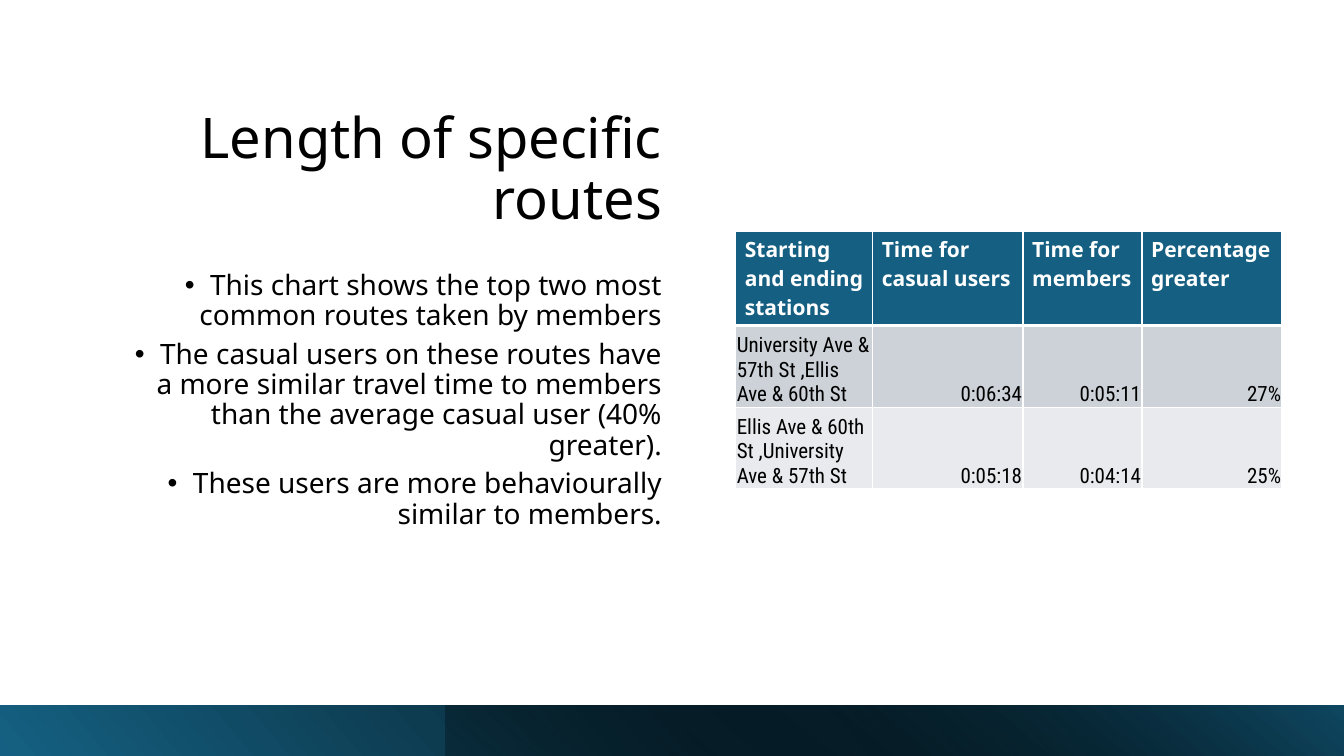
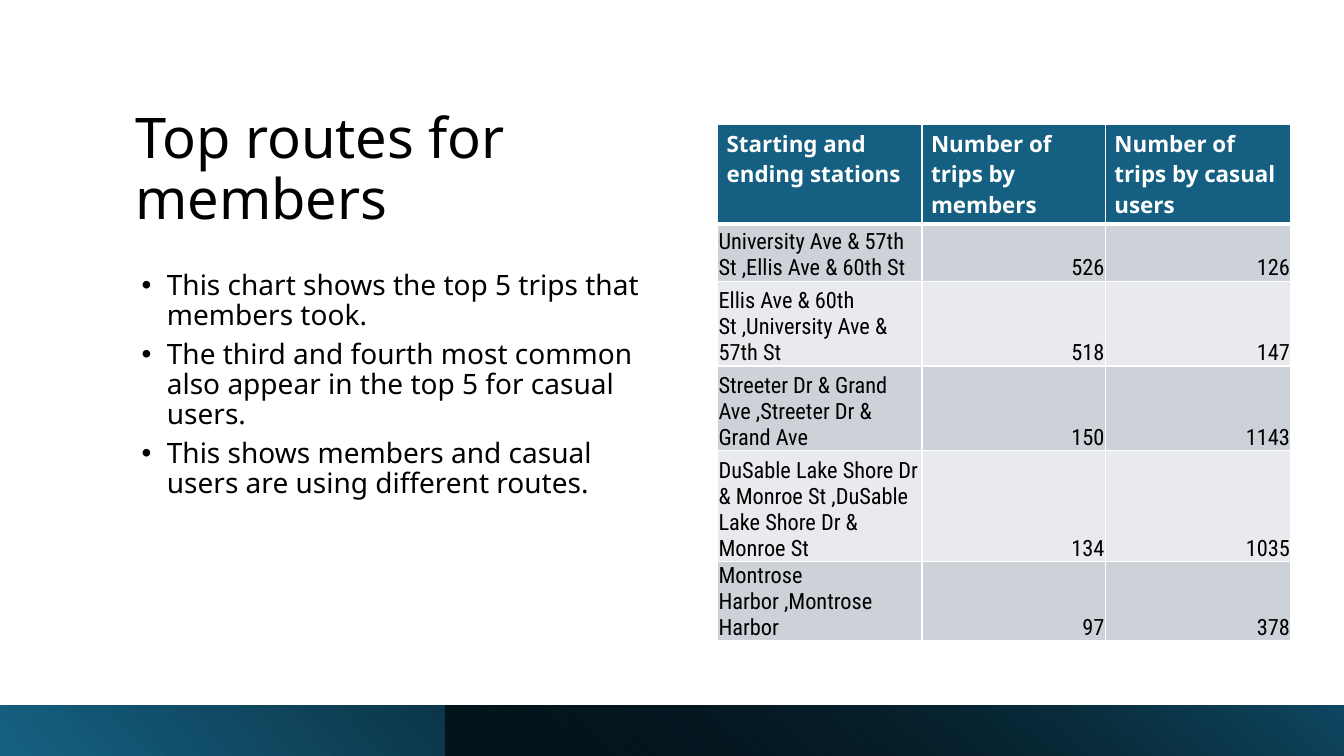
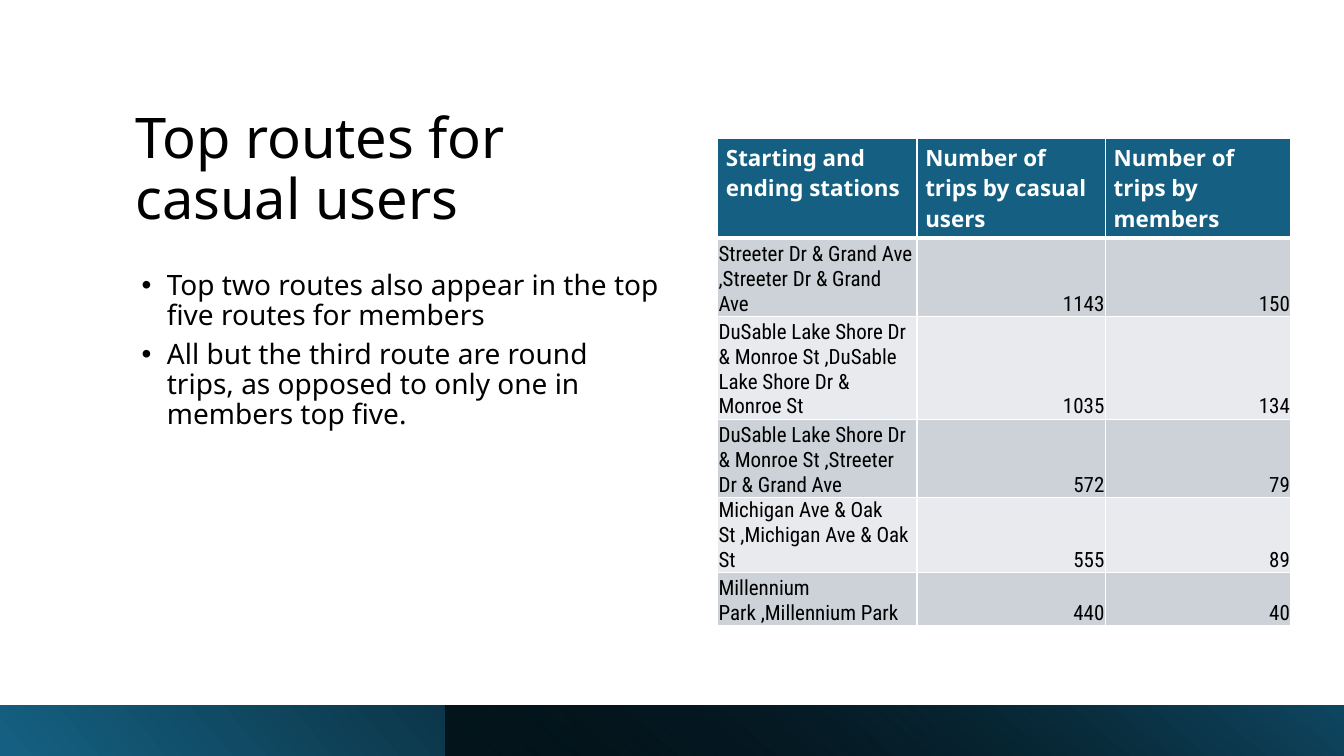
import pptx
import pptx.dml.color
import pptx.enum.text
import pptx.oxml
import pptx.oxml.ns
import pptx.util
from lxml import etree

Pt = pptx.util.Pt
ALIGN = pptx.enum.text.PP_ALIGN
ANCHOR = pptx.enum.text.MSO_ANCHOR
qn = pptx.oxml.ns.qn


def rgb(value):
    return pptx.dml.color.RGBColor.from_string(value)


def gradient(stops, angle):
    """Build a linear gradient from (position, colour, opacity) percentages."""
    xml = "".join(
        f'<a:gs pos="{pos * 1000}"><a:srgbClr val="{color}">'
        f'<a:alpha val="{opacity * 1000}"/></a:srgbClr></a:gs>'
        for pos, color, opacity in stops)
    return pptx.oxml.parse_xml(
        f'<a:gradFill {pptx.oxml.ns.nsdecls("a")} rotWithShape="1">'
        f'<a:gsLst>{xml}</a:gsLst>'
        f'<a:lin ang="{angle * 60000}" scaled="0"/></a:gradFill>')


class Deck:
    WIDTH, HEIGHT = 960, 540
    BAND_TOP, BAND_HEIGHT, OVERLAY_LEFT = 504, 36, 318
    HEAD_FONT, CELL_FONT = "Noto Sans", "Roboto Condensed"
    BLACK, WHITE, BLUE, DEEP_BLUE = "000000", "FFFFFF", "156082", "104862"
    STRIPES = ("CCD2D8", "E8EAED")

    def __init__(self):
        self.prs = pptx.Presentation()
        self.prs.slide_width = Pt(self.WIDTH)
        self.prs.slide_height = Pt(self.HEIGHT)

    def new_slide(self, fade_end, overlay_opacity):
        """Add a slide with its two-layer bottom band."""
        self.s = self.prs.slides.add_slide(self.prs.slide_layouts[1])
        band = self.band(0, [(0, self.BLUE, 100), (fade_end, self.BLACK, 100)], 40)
        band.rotation = 180
        self.band(self.OVERLAY_LEFT, [(0, self.BLACK, overlay_opacity),
                                      (100, self.DEEP_BLUE, 100)], 230)

    def band(self, left, stops, angle):
        """Add a mirrored gradient strip from left to the slide's right edge."""
        sp = self.s.shapes.add_shape(
            pptx.enum.shapes.MSO_SHAPE.RECTANGLE, Pt(left), Pt(self.BAND_TOP),
            Pt(self.WIDTH - left), Pt(self.BAND_HEIGHT))
        sp.shadow.inherit = False
        sp.line.fill.background()
        sp.fill.background()
        spPr = sp._element.spPr
        spPr.replace(spPr.find(qn("a:noFill")), gradient(stops, angle))
        spPr.find(qn("a:xfrm")).set("flipH", "1")
        return sp

    def run(self, p, text, size, font, color, bold=False):
        r = p.add_run()
        r.text = text
        r.font.size, r.font.name, r.font.bold = Pt(size), font, bold
        r.font.color.rgb = rgb(color)

    def place(self, sp, box, anchor):
        sp.left, sp.top, sp.width, sp.height = map(Pt, box)
        tf = sp.text_frame
        tf.word_wrap = True
        tf.vertical_anchor = anchor
        tf.auto_size = pptx.enum.text.MSO_AUTO_SIZE.TEXT_TO_FIT_SHAPE
        return tf

    def paragraph(self, p, text, size, align, space_after=0):
        p.alignment, p.line_spacing = align, 0.9
        p.space_before, p.space_after = Pt(0), Pt(space_after)
        self.run(p, text, size, self.HEAD_FONT, self.BLACK)

    def title(self, text, box, align):
        tf = self.place(self.s.shapes.title, box, ANCHOR.BOTTOM)
        self.paragraph(tf.paragraphs[0], text, 40, align)

    def bullets(self, items, box, align):
        tf = self.place(self.s.placeholders[1], box, ANCHOR.TOP)
        for i, text in enumerate(items):
            p = tf.add_paragraph() if i else tf.paragraphs[0]
            self.paragraph(p, text, 20, align, 6)
            pPr = p._p.get_or_add_pPr()
            pPr.set("marL", str(Pt(22.5)))
            pPr.set("indent", str(Pt(-18)))
            etree.SubElement(pPr, qn("a:buFont")).set("typeface", "Arial")
            etree.SubElement(pPr, qn("a:buChar")).set("char", "•")

    def borders(self, cell, top, bottom):
        """Draw white cell borders; the line elements must precede the fill."""
        tcPr = cell._tc.get_or_add_tcPr()
        for i, (side, width) in enumerate(zip("LRTB", (1, 1, top, bottom))):
            tcPr.insert(i, pptx.oxml.parse_xml(
                f'<a:ln{side} {pptx.oxml.ns.nsdecls("a")} w="{Pt(width)}"><a:solidFill>'
                f'<a:srgbClr val="{self.WHITE}"/></a:solidFill></a:ln{side}>'))

    def cell(self, cell, text, row, col, size, head_margin):
        header = row == 0
        cell.fill.solid()
        cell.fill.fore_color.rgb = rgb(self.BLUE if header else self.STRIPES[(row - 1) % 2])
        margins = (head_margin, head_margin, 3, 3) if header else (0.7, 0.7, 0.7, 0)
        (cell.margin_left, cell.margin_right,
         cell.margin_top, cell.margin_bottom) = map(Pt, margins)
        cell.vertical_anchor = ANCHOR.TOP if header else ANCHOR.BOTTOM
        self.borders(cell, 3 if row == 1 else 1, 3 if header else 1)
        p = cell.text_frame.paragraphs[0]
        p.alignment = ALIGN.LEFT if header or col == 0 else ALIGN.RIGHT
        if header:
            self.run(p, text, size, self.HEAD_FONT, self.WHITE, True)
        else:
            self.run(p, text, size, self.CELL_FONT, self.BLACK)

    def table(self, rows, left, top, widths, heights, sizes, head_margin=6.5):
        """Add a striped table; sizes holds the header and body text sizes."""
        table = self.s.shapes.add_table(
            len(rows), len(widths), Pt(left), Pt(top),
            Pt(sum(widths)), Pt(sum(heights))).table
        table.first_row = table.horz_banding = False
        for column, width in zip(table.columns, widths):
            column.width = Pt(width)
        for i, (values, height) in enumerate(zip(rows, heights)):
            table.rows[i].height = Pt(height)
            for j, text in enumerate(values):
                self.cell(table.cell(i, j), text, i, j, sizes[i > 0], head_margin)


UNIVERSITY, ELLIS = "University Ave & 57th St", "Ellis Ave & 60th St"
STREETER, DUSABLE = "Streeter Dr & Grand Ave", "DuSable Lake Shore Dr & Monroe St"
MICHIGAN = "Michigan Ave & Oak St"
STATIONS = "Starting and ending stations"
BY_MEMBERS, BY_CASUAL = "Number of trips by members", "Number of trips by casual users"


def route(start, end):
    return f"{start} ,{end}"


def route_slide(deck, title, items, **table):
    """Add a left-aligned slide about one user group's top routes."""
    deck.new_slide(78, 63)
    deck.title(title, (89.5, 39.5, 390.5, 129.5), ALIGN.LEFT)
    deck.bullets(items, (89.5, 190, 390.5, 277), ALIGN.LEFT)
    deck.table(left=512.6, **table)


def main():
    deck = Deck()

    deck.new_slide(85, 26)
    deck.title("Length of specific routes", (72, 39, 408, 130), ALIGN.RIGHT)
    deck.bullets([
        "This chart shows the top two most common routes taken by members",
        "The casual users on these routes have a more similar travel time to members "
        "than the average casual user (40% greater).",
        "These users are more behaviourally similar to members.",
    ], (72, 190, 408, 268.5), ALIGN.RIGHT)
    deck.table([
        (STATIONS, "Time for casual users", "Time for members", "Percentage greater"),
        (route(UNIVERSITY, ELLIS), "0:06:34", "0:05:11", "27%"),
        (route(ELLIS, UNIVERSITY), "0:05:18", "0:04:14", "25%"),
    ], 525.6, 165, (97.8, 107.4, 85, 100), (64, 58.3, 58.3), (15, 15))

    route_slide(
        deck, "Top routes for members",
        ["This chart shows the top 5 trips that members took.",
         "The third and fourth most common also appear in the top 5 for casual users.",
         "This shows members and casual users are using different routes."],
        rows=[
            (STATIONS, BY_MEMBERS, BY_CASUAL),
            (route(UNIVERSITY, ELLIS), "526", "126"),
            (route(ELLIS, UNIVERSITY), "518", "147"),
            (route(STREETER, STREETER), "150", "1143"),
            (route(DUSABLE, DUSABLE), "134", "1035"),
            (route("Montrose Harbor", "Montrose Harbor"), "97", "378"),
        ],
        top=88.8, widths=(146, 131, 132.5),
        heights=(47.5, 41, 60.5, 60.5, 79.2, 41), sizes=(16, 16))

    route_slide(
        deck, "Top routes for casual users",
        ["Top two routes also appear in the top five routes for members",
         "All but the third route are round trips, as opposed to only one in "
         "members top five."],
        rows=[
            (STATIONS, BY_CASUAL, BY_MEMBERS),
            (route(STREETER, STREETER), "1143", "150"),
            (route(DUSABLE, DUSABLE), "1035", "134"),
            (route(DUSABLE, STREETER), "572", "79"),
            (route(MICHIGAN, MICHIGAN), "555", "89"),
            (route("Millennium Park", "Millennium Park"), "440", "40"),
        ],
        top=98.8, widths=(142.4, 134.6, 132.5),
        heights=(47.5, 56, 73.5, 56, 38, 38), sizes=(16, 15), head_margin=6)

    deck.prs.save("out.pptx")


if __name__ == "__main__":
    main()
